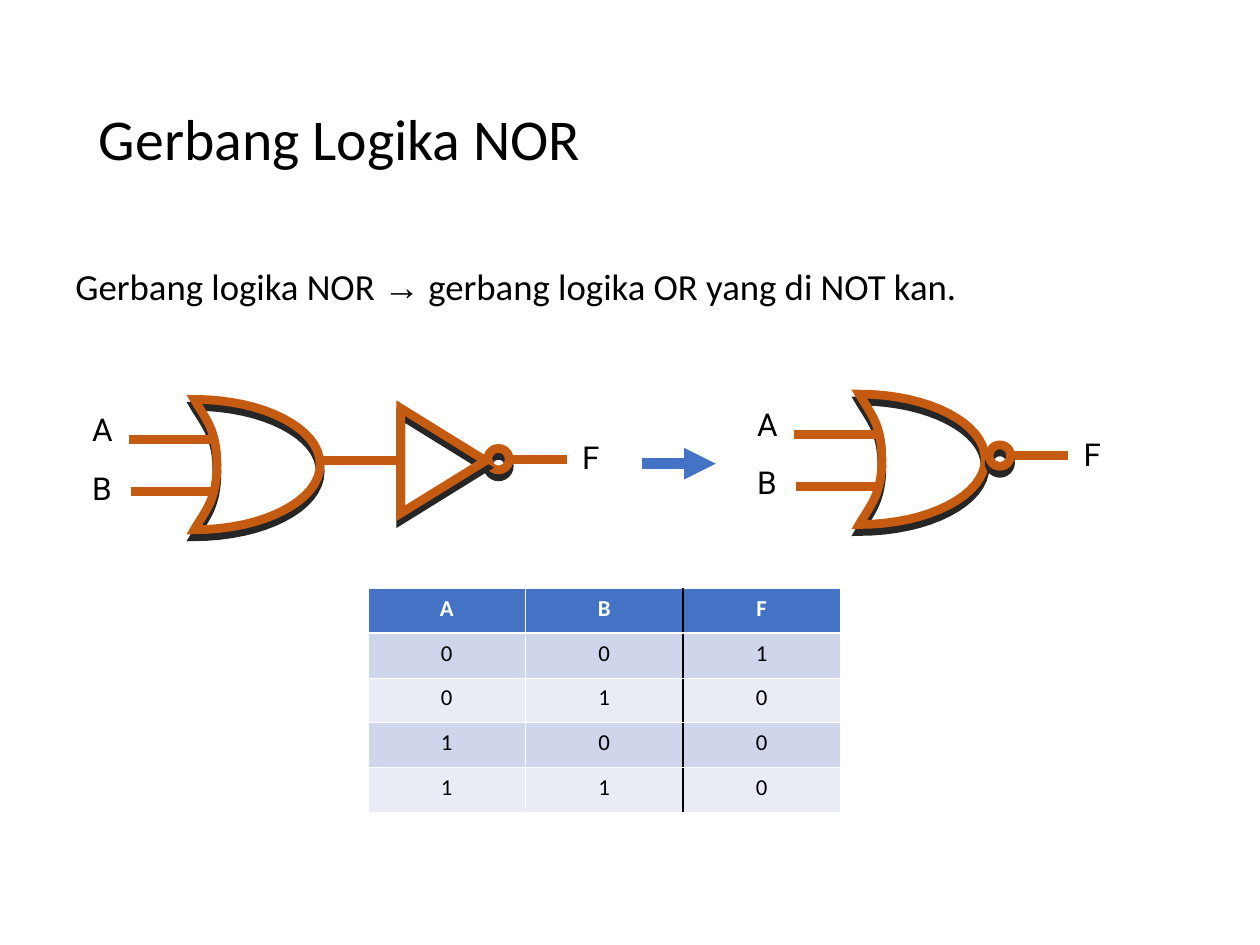
import lxml.etree
import pptx
import pptx.dml.color
import pptx.enum.shapes
import pptx.enum.text
import pptx.oxml.ns
import pptx.util

Pt = pptx.util.Pt
RGBColor = pptx.dml.color.RGBColor
SHAPE = pptx.enum.shapes.MSO_SHAPE
STRAIGHT = pptx.enum.shapes.MSO_CONNECTOR.STRAIGHT
ANCHOR = pptx.enum.text.MSO_ANCHOR
qn = pptx.oxml.ns.qn

BLACK = RGBColor(0x00, 0x00, 0x00)
WHITE = RGBColor(0xFF, 0xFF, 0xFF)
BLUE = RGBColor(0x44, 0x72, 0xC4)
BAND_DARK = RGBColor(0xCF, 0xD5, 0xEA)
BAND_LIGHT = RGBColor(0xE9, 0xEB, 0xF5)
ORANGE = RGBColor(0xC5, 0x5A, 0x11)
SHADOW = RGBColor(0x26, 0x26, 0x26)

TRUTH_TABLE = ["ABF", "001", "010", "100", "110"]

# OR outline in a 72 x 74.5 box: start point, then cubic Bezier segments
OR_START = (0, 74.5)
OR_CURVES = [
    ((6.5, 63.5), (13, 57), (13, 37.25)),
    ((13, 17.5), (6.5, 11), (0, 0)),
    ((39.75, 0), (72, 16.7), (72, 37.25)),
    ((72, 57.8), (39.75, 74.5), (0, 74.5)),
]


def sub(parent, tag, **attrs):
    return lxml.etree.SubElement(parent, qn(tag), attrs)


def add_run(p, text, size, color=BLACK, font="Calibri", bold=False):
    r = p.add_run()
    r.text = text
    r.font.size = Pt(size)
    r.font.name = font
    r.font.bold = bold
    r.font.color.rgb = color


def text_box(shapes, left, top, width, height, runs, size,
             anchor=ANCHOR.TOP, wrap=True, spacing=None):
    tf = shapes.add_textbox(Pt(left), Pt(top), Pt(width), Pt(height)).text_frame
    tf.word_wrap = wrap
    tf.vertical_anchor = anchor
    p = tf.paragraphs[0]
    p.line_spacing = spacing
    for text, font in runs:
        add_run(p, text, size, font=font)


def label(shapes, left, top, text):
    text_box(shapes, left, top, 26, 29, [(text, "Roboto")], 18, wrap=False)


def wire(shapes, x1, x2, y, color=ORANGE, width=5):
    line = shapes.add_connector(STRAIGHT, Pt(x1), Pt(y), Pt(x2), Pt(y))
    line.line.color.rgb = color
    line.line.width = Pt(width)
    sub(line._element.spPr, "a:effectLst")
    return line


def outline(sp):
    """Thick orange outline with a hard shadow straight below."""
    sp.fill.background()
    sp.line.color.rgb = ORANGE
    sp.line.width = Pt(5)
    sub(sp.line._get_or_add_ln(), "a:miter", lim="800000")
    sp.shadow.inherit = False
    effects = sp._element.spPr.find(qn("a:effectLst"))
    shadow = sub(effects, "a:outerShdw", blurRad="0", dist=str(Pt(4)),
                 dir="5400000", algn="ctr", rotWithShape="0")
    sub(shadow, "a:srgbClr", val=str(SHADOW))


def bezier(p0, p1, p2, p3, steps=16):
    for i in range(1, steps + 1):
        t = i / steps
        u = 1 - t
        yield tuple(u**3 * a + 3 * u * u * t * b + 3 * u * t * t * c + t**3 * d
                    for a, b, c, d in zip(p0, p1, p2, p3))


def or_gate(shapes, left, top):
    """OR body with its top left corner at (left, top), and inputs A and B."""
    start, points = OR_START, []
    for curve in OR_CURVES:
        points += bezier(start, *curve)
        start = curve[-1]
    fb = shapes.build_freeform(Pt(left + OR_START[0]), Pt(top + OR_START[1]))
    fb.add_line_segments([(Pt(left + x), Pt(top + y)) for x, y in points[:-1]])
    outline(fb.convert_to_shape())
    for text, dx, wire_y, label_y in (("A", -37.5, 23, 2.5), ("B", -36, 52.75, 36)):
        wire(shapes, left + dx, left + 10.5, top + wire_y)
        label(shapes, left - 65.5, top + label_y, text)


def inverted_output(shapes, left, top):
    """Inversion bubble with its top left corner at (left, top), and output F."""
    size = 12.25
    wire(shapes, left + size, left + 45, top + size / 2)
    outline(shapes.add_shape(SHAPE.OVAL, Pt(left), Pt(top), Pt(size), Pt(size)))
    label(shapes, left + 46.8, top - 9.4, "F")


def or_then_not(slide, left, top):
    shapes = slide.shapes.add_group_shape().shapes
    inverted_output(shapes, left + 167.75, top + 28)
    # NOT triangle, turned to point right
    sp = shapes.add_shape(SHAPE.ISOSCELES_TRIANGLE, Pt(left + 112.25), Pt(top + 10.75),
                          Pt(60), Pt(48.5))
    sp.rotation = 90
    outline(sp)
    or_gate(shapes, left, top)
    wire(shapes, left + 71, left + 118, top + 35)


def nor_gate(slide, left, top):
    shapes = slide.shapes.add_group_shape().shapes
    or_gate(shapes, left, top)
    inverted_output(shapes, left + 74.25, top + 29)


def equals_arrow(slide, left, top, width):
    line = wire(slide.shapes, left, left + width, top, BLUE, 6)
    sub(line.line._get_or_add_ln(), "a:tailEnd", type="triangle")


def cell_borders(cell, row, col):
    tcPr = cell._tc.get_or_add_tcPr()
    heavy = {"a:lnL": col == 2, "a:lnR": col == 1, "a:lnT": row == 1, "a:lnB": row == 0}
    for at, (tag, is_heavy) in enumerate(heavy.items()):
        ln = lxml.etree.Element(qn(tag), w=str(Pt(1.5 if is_heavy else 0.5)))
        black = is_heavy and tag in ("a:lnL", "a:lnR")
        sub(sub(ln, "a:solidFill"), "a:srgbClr", val=str(BLACK if black else WHITE))
        tcPr.insert(at, ln)


def truth_table(slide, left, top, width, height):
    rows, cols = len(TRUTH_TABLE), len(TRUTH_TABLE[0])
    table = slide.shapes.add_table(rows, cols, Pt(left), Pt(top),
                                   Pt(width), Pt(height)).table
    for i, values in enumerate(TRUTH_TABLE):
        table.rows[i].height = Pt(height / rows)
        for j, value in enumerate(values):
            cell = table.cell(i, j)
            cell.fill.solid()
            cell.fill.fore_color.rgb = BLUE if i == 0 else (BAND_LIGHT, BAND_DARK)[i % 2]
            p = cell.text_frame.paragraphs[0]
            p.alignment = pptx.enum.text.PP_ALIGN.CENTER
            add_run(p, value, 13, WHITE if i == 0 else BLACK, bold=i == 0)
            cell_borders(cell, i, j)


def main():
    prs = pptx.Presentation()
    prs.slide_width, prs.slide_height = Pt(720), Pt(540)
    slide = prs.slides.add_slide(prs.slide_layouts[6])

    # Title and definition
    text_box(slide.shapes, 49.5, 29, 621, 104.5, [("Gerbang Logika NOR", "Calibri")],
             33, anchor=ANCHOR.MIDDLE, spacing=0.9)
    text_box(slide.shapes, 36, 150, 648, 345.5,
             [("Gerbang logika NOR ", "Calibri"), ("→", "Arial"),
              (" gerbang logika OR yang di NOT kan.", "Calibri")], 21, spacing=0.9)

    # Truth table and the two equivalent circuits
    truth_table(slide, 210.25, 336.25, 270, 128)
    equals_arrow(slide, 367, 265, 42)
    nor_gate(slide, 491, 225.25)
    or_then_not(slide, 111, 228.25)

    prs.save("out.pptx")


if __name__ == "__main__":
    main()
